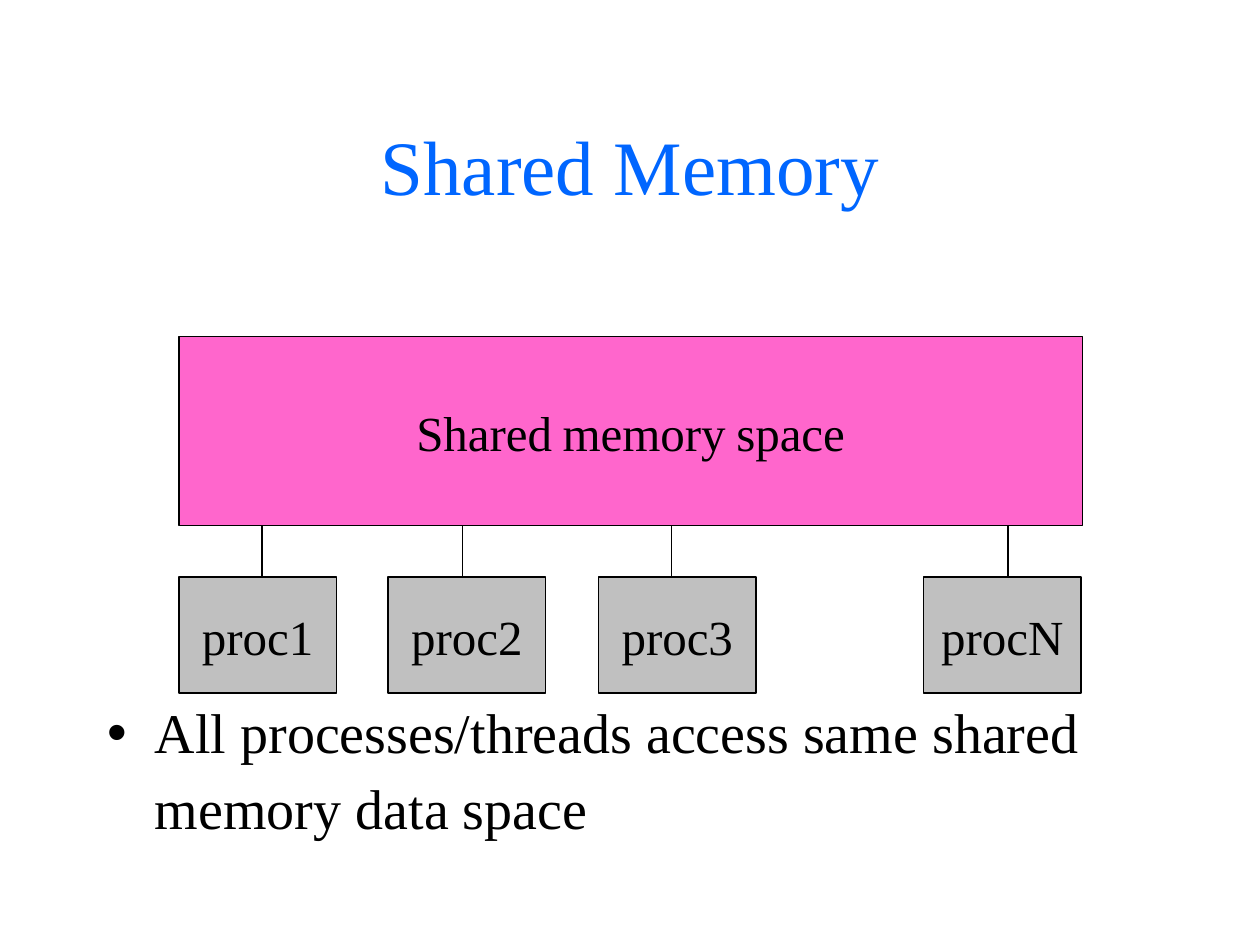
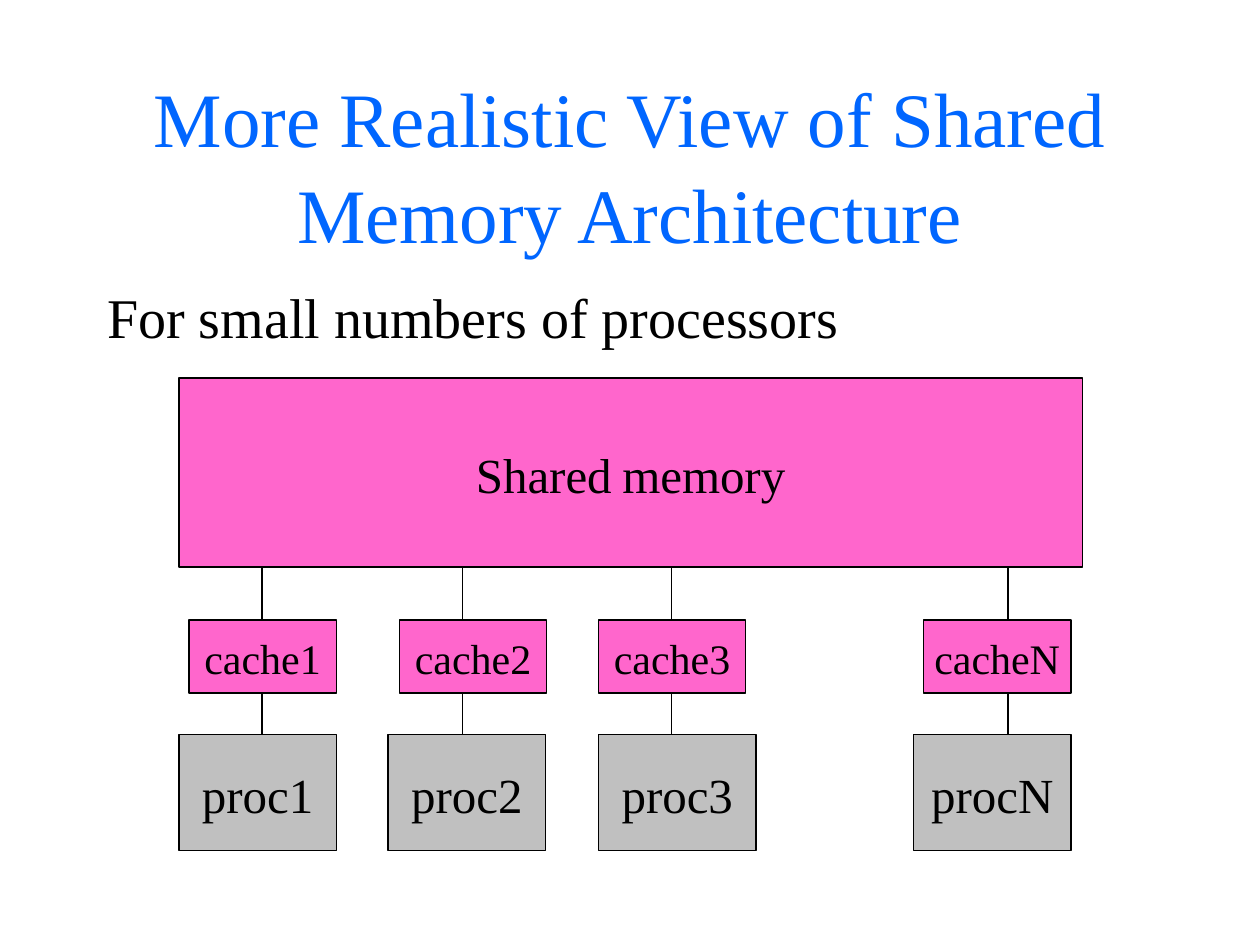
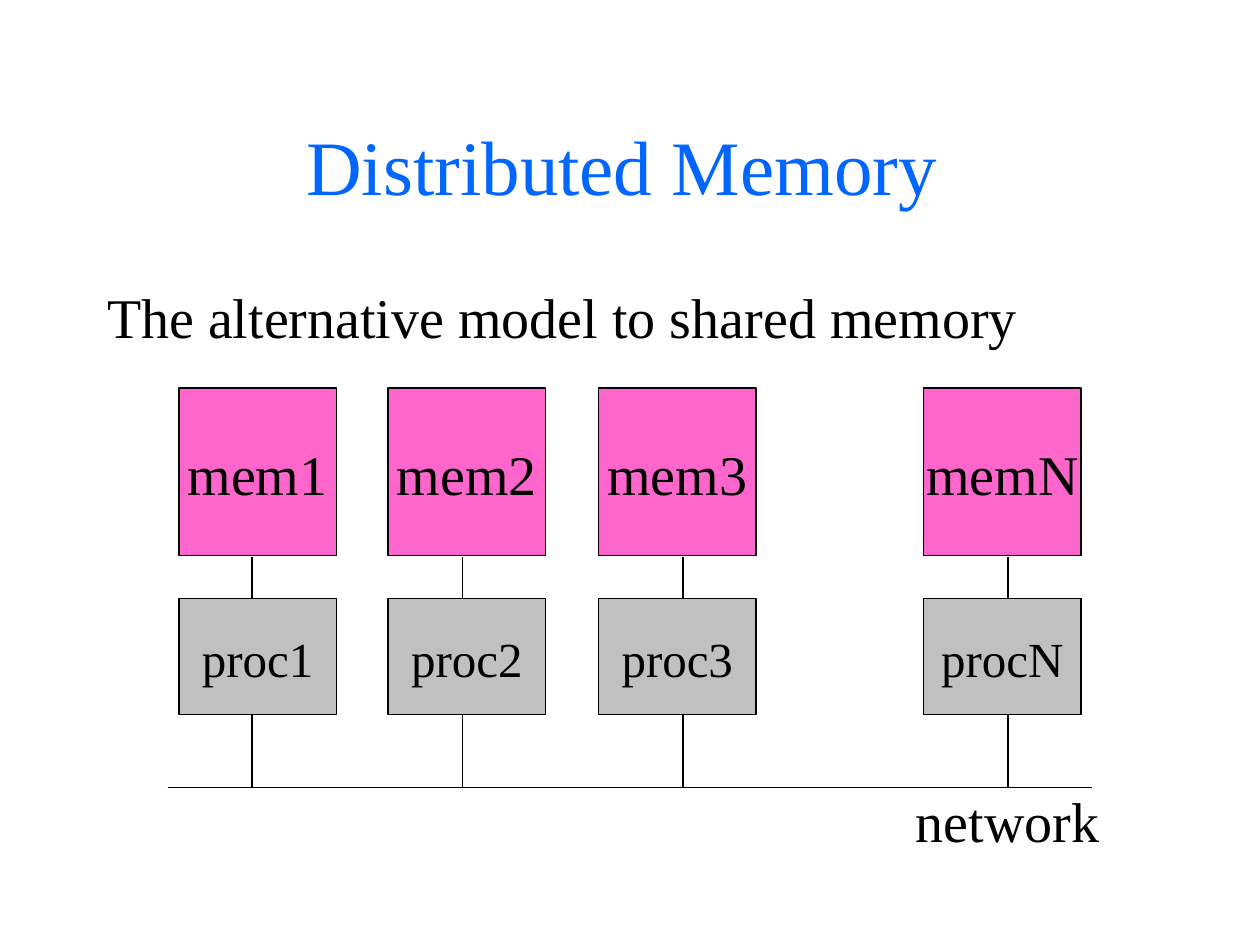
from lxml.etree import SubElement
from pptx import Presentation
from pptx.dml.color import RGBColor
from pptx.enum.shapes import MSO_CONNECTOR as Connector, MSO_SHAPE as Shape
from pptx.enum.text import MSO_ANCHOR as Anchor, MSO_AUTO_SIZE as AutoSize, PP_ALIGN as Align
from pptx.oxml.ns import qn
from pptx.util import Inches, Pt

COLORS = {"title": "0066FF", "ink": "000000", "memory": "FF66CC", "process": "C0C0C0"}
FONT = "Times New Roman"
SUFFIXES = "123N"
COLUMNS = (1.42, 3.08, 4.75, 7.33)
PROCESS_SIZE = (1.25, 0.92)
BODY_TOP, BODY_BOTTOM = 2.17, 6.67


def color(name):
    return RGBColor.from_string(COLORS[name])


def write(frame, text, size=28, ink="ink", align=Align.LEFT, anchor=Anchor.TOP,
          wrap=True, spacing=1.04, hanging=None, bullet=None):
    frame.auto_size = AutoSize.NONE
    frame.word_wrap = wrap
    frame.vertical_anchor = anchor
    paragraph = frame.paragraphs[0]
    paragraph.alignment = align
    paragraph.line_spacing = spacing
    paragraph.space_before = Pt(0)
    if hanging is not None:
        properties = paragraph._p.get_or_add_pPr()
        properties.set("marL", str(Inches(hanging)))
        properties.set("indent", str(-Inches(hanging)))
        if bullet:
            SubElement(properties, qn("a:buChar")).set("char", bullet)
        else:
            SubElement(properties, qn("a:buNone"))
    pieces = [(text, size)] if isinstance(text, str) else text
    for words, points in pieces:
        run = paragraph.add_run()
        run.text = words
        run.font.name = FONT
        run.font.size = Pt(points)
        run.font.color.rgb = color(ink)


class Deck:
    def __init__(self):
        self.presentation = Presentation()
        self.presentation.slide_width = Inches(10)
        self.presentation.slide_height = Inches(7.5)
        self.slide = None

    def place(self, holder, left, top, width, height):
        holder.left, holder.top = Inches(left), Inches(top)
        holder.width, holder.height = Inches(width), Inches(height)

    def start(self, title):
        self.slide = self.presentation.slides.add_slide(self.presentation.slide_layouts[1])
        heading = self.slide.shapes.title
        self.place(heading, 0.75, 0.67, 8.5, 1.25)
        write(heading.text_frame, title, size=44, ink="title",
              align=Align.CENTER, anchor=Anchor.MIDDLE)

    def statement(self, text, top=BODY_TOP, **style):
        body = self.slide.placeholders[1]
        self.place(body, 0.75, top, 8.5, BODY_BOTTOM - top)
        write(body.text_frame, text, size=32, hanging=0.38, **style)

    def box(self, text, left, top, width, height, fill, size=28):
        block = self.slide.shapes.add_shape(
            Shape.RECTANGLE, Inches(left), Inches(top), Inches(width), Inches(height))
        block.shadow.inherit = False
        block.fill.solid()
        block.fill.fore_color.rgb = color(fill)
        block.line.color.rgb = color("ink")
        block.line.width = Pt(0.75)
        write(block.text_frame, text, size=size, align=Align.CENTER,
              anchor=Anchor.MIDDLE, wrap=False)

    def row(self, prefix, top, width, height, fill, lefts=COLUMNS, size=28):
        for suffix, left in zip(SUFFIXES, lefts):
            self.box(prefix + suffix, left, top, width, height, fill, size)

    def processes(self, top, lefts=COLUMNS):
        self.row("proc", top, *PROCESS_SIZE, "process", lefts)

    def shared_bank(self, words, top):
        pieces = [(words[0], 28)]
        for word in words[1:]:
            pieces += [(" ", 24), (word, 28)]
        self.box(pieces, COLUMNS[0], top, 7.17, 1.5, "memory")

    def line(self, x1, y1, x2, y2):
        wire = self.slide.shapes.add_connector(
            Connector.STRAIGHT, Inches(x1), Inches(y1), Inches(x2), Inches(y2))
        wire.line.color.rgb = color("ink")
        wire.line.width = Pt(0.75)
        SubElement(wire._element.spPr, qn("a:effectLst"))

    def links(self, top, bottom, centers):
        for x in centers:
            self.line(x, top, x, bottom)

    def label(self, text, left, top, width, height):
        caption = self.slide.shapes.add_textbox(
            Inches(left), Inches(top), Inches(width), Inches(height))
        write(caption.text_frame, text, size=32, wrap=False)


def main():
    deck = Deck()
    shared_links = (2.08, 3.67, 5.33, 8)
    network_links = (2, 3.67, 5.42, 8)

    deck.start("Shared Memory")
    deck.statement("All processes/threads access same shared memory data space",
                   top=5.42, bullet="•", spacing=1.13)
    deck.processes(4.58)
    deck.shared_bank(("Shared", "memory", "space"), 2.67)
    deck.links(4.17, 4.58, shared_links)

    deck.start("More Realistic View of Shared Memory Architecture")
    deck.statement("For small numbers of processors")
    deck.processes(5.83, lefts=(*COLUMNS[:3], 7.25))
    deck.shared_bank(("Shared", "memory"), 3)
    deck.links(4.5, 4.92, shared_links)
    deck.links(5.42, 5.83, shared_links)
    deck.row("cache", 4.92, 1.17, 0.58, "memory", lefts=(1.5, 3.17, 4.75, 7.33), size=24)

    deck.start([("Distributed Memory", 44), (" ", 36)])
    deck.statement("The alternative model to shared memory")
    deck.processes(4.75)
    deck.row("mem", 3.08, 1.25, 1.33, "memory", size=32)
    deck.links(4.42, 4.75, network_links)
    deck.line(1.33, 6.25, 8.67, 6.25)
    deck.links(5.67, 6.25, network_links)
    deck.label("network", 7.17, 6.17, 1.66, 0.64)

    deck.presentation.save("out.pptx")


if __name__ == "__main__":
    main()
